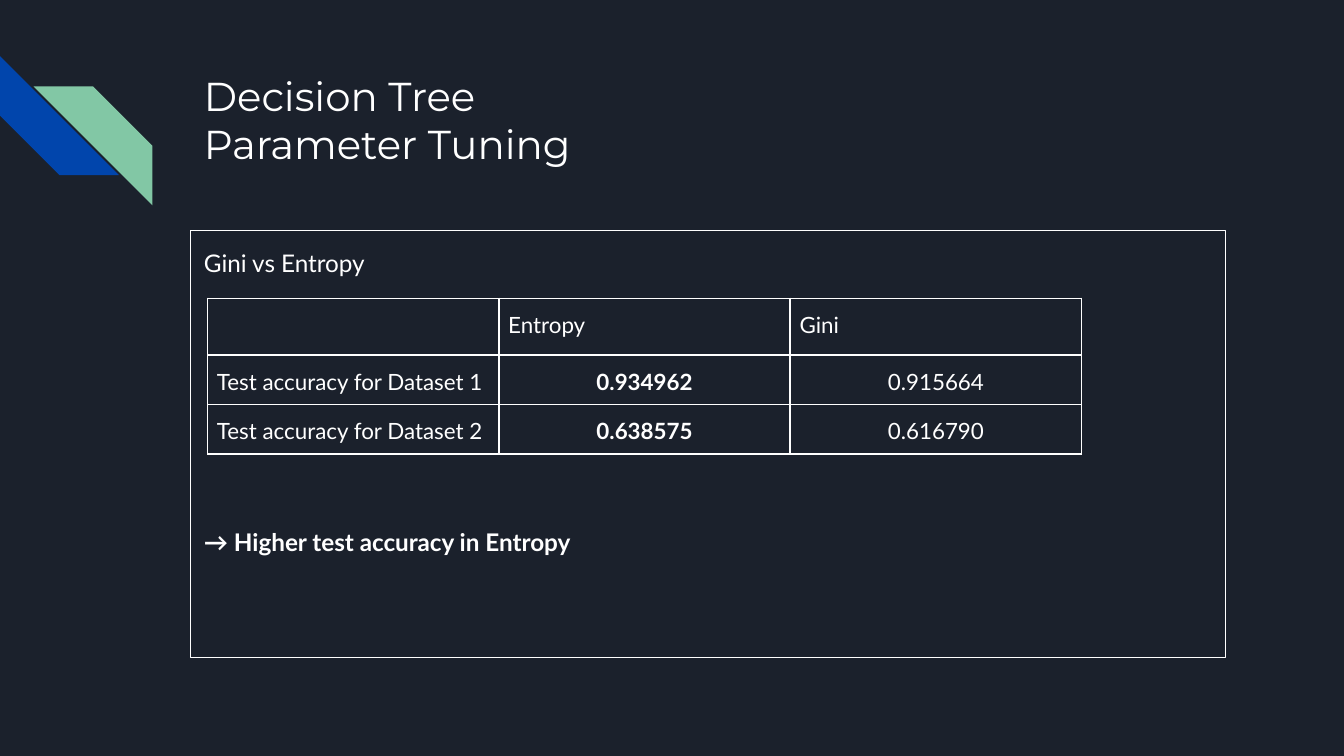
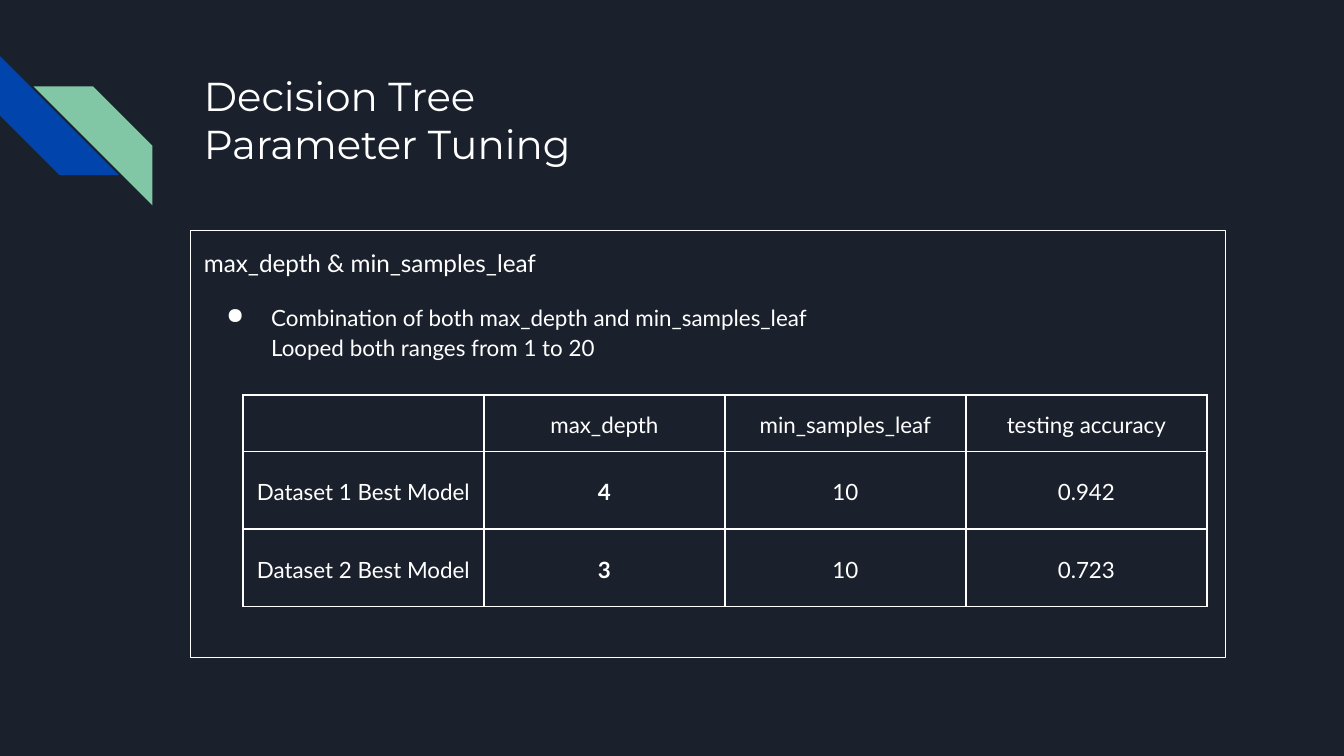
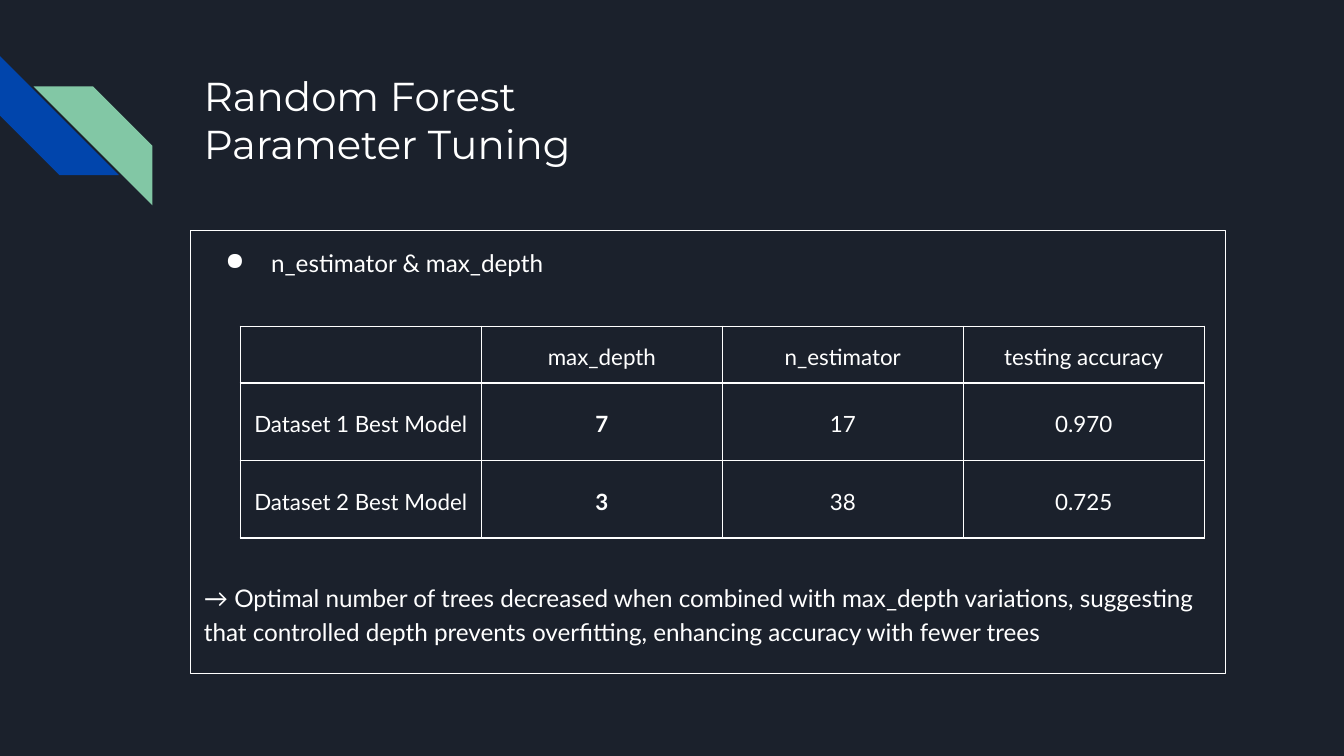
import dataclasses

import lxml.etree
import pptx
import pptx.dml.color
import pptx.enum.shapes
import pptx.enum.text
import pptx.oxml.ns
import pptx.presentation
import pptx.slide
import pptx.table
import pptx.text.text
import pptx.util

Pt = pptx.util.Pt
PP_ALIGN = pptx.enum.text.PP_ALIGN
MSO_ANCHOR = pptx.enum.text.MSO_ANCHOR

COLORS = {"background": "1B212C", "text": "FFFFFF", "blue": "0145AC", "green": "82C7A5"}
HEADING_FONT = "Montserrat"
BODY_FONT = "Lato"
TITLE_SIZE = 21.6
BODY_SIZE = 13
TABLE_SIZE = 12
LINE_SPACING = 1.15
INSET = 7.2
CELL_INSET = 5
CONTENT_LEFT = 102.2
CONTENT_WIDTH = 554.5
BODY_TOP = 123.4
STRIPE_SIZE = 63.7


@dataclasses.dataclass(frozen=True)
class Stripe:
    left: float
    top: float
    rotation: float
    color: str


@dataclasses.dataclass(frozen=True)
class BodyParagraph:
    lines: tuple[str, ...]
    size: float = BODY_SIZE
    space_before: float = 0
    space_after: float = 0
    bold: bool = False
    bullet_hang: float = 0


@dataclasses.dataclass(frozen=True)
class ResultTable:
    left: float
    top: float
    column_width: float
    row_heights: tuple[float, ...]
    rows: tuple[tuple[str, ...], ...]
    centered_labels: bool = True


@dataclasses.dataclass(frozen=True)
class TuningSlide:
    title: tuple[str, ...]
    body_height: float
    body: tuple[BodyParagraph, ...]
    table: ResultTable


STRIPES = (
    Stripe(0, 30.1, 270, "blue"),
    Stripe(18, 46.3, 90, "green"),
)
MODEL_ROW_HEIGHTS = (30.2, 41.6, 41.6)

SLIDES = (
    TuningSlide(
        title=("Decision Tree", "Parameter Tuning"),
        body_height=229,
        body=(
            BodyParagraph(("Gini vs Entropy",)),
            BodyParagraph(("→ Higher test accuracy in Entropy",),
                          space_before=131.8, space_after=12, bold=True),
        ),
        table=ResultTable(
            111.2, 159.9, 156.1, (30.2, 26.6, 26.6),
            (("", "Entropy", "Gini"),
             ("Test accuracy for Dataset 1", "0.934962", "0.915664"),
             ("Test accuracy for Dataset 2", "0.638575", "0.616790")),
            centered_labels=False,
        ),
    ),
    TuningSlide(
        title=("Decision Tree", "Parameter Tuning"),
        body_height=229,
        body=(
            BodyParagraph(("max_depth & min_samples_leaf",)),
            BodyParagraph(("Combination of both max_depth and min_samples_leaf",
                           "Looped both ranges from 1 to 20"),
                          size=12, space_before=12, bullet_hang=24),
        ),
        table=ResultTable(
            130.2, 211.6, 129.1, MODEL_ROW_HEIGHTS,
            (("", "max_depth", "min_samples_leaf", "testing accuracy"),
             ("Dataset 1 Best Model", "4", "10", "0.942"),
             ("Dataset 2 Best Model", "3", "10", "0.723")),
        ),
    ),
    TuningSlide(
        title=("Random Forest", "Parameter Tuning"),
        body_height=237.3,
        body=(
            BodyParagraph(("n_estimator & max_depth",), bullet_hang=24.5),
            BodyParagraph(("→ Optimal number of trees decreased when combined with "
                           "max_depth variations, suggesting that controlled depth "
                           "prevents overfitting, enhancing accuracy with fewer trees",),
                          space_before=161.7, space_after=12),
        ),
        table=ResultTable(
            128.8, 174.9, 129.1, MODEL_ROW_HEIGHTS,
            (("", "max_depth", "n_estimator", "testing accuracy"),
             ("Dataset 1 Best Model", "7", "17", "0.970"),
             ("Dataset 2 Best Model", "3", "38", "0.725")),
        ),
    ),
)


def rgb(name: str) -> pptx.dml.color.RGBColor:
    return pptx.dml.color.RGBColor.from_string(COLORS[name])


def add_run(paragraph: pptx.text.text._Paragraph, text: str, font: str,
            size: float, bold: bool = False) -> None:
    run = paragraph.add_run()
    run.text = text
    run.font.name = font
    run.font.size = Pt(size)
    run.font.bold = bold
    run.font.color.rgb = rgb("text")


def prepare_frame(frame: pptx.text.text.TextFrame) -> None:
    frame.word_wrap = True
    frame.vertical_anchor = MSO_ANCHOR.TOP
    frame.margin_left = frame.margin_right = Pt(INSET)
    frame.margin_top = frame.margin_bottom = Pt(INSET)


def next_paragraph(frame: pptx.text.text.TextFrame, index: int) -> pptx.text.text._Paragraph:
    """Return the frame's first paragraph, or a new one after it."""
    paragraph = frame.add_paragraph() if index else frame.paragraphs[0]
    paragraph.alignment = PP_ALIGN.LEFT
    return paragraph


def add_bullet(paragraph: pptx.text.text._Paragraph, hang: float) -> None:
    properties = paragraph._p.get_or_add_pPr()
    properties.set("marL", str(Pt(36)))
    properties.set("indent", str(-Pt(hang)))
    bullet_color = lxml.etree.SubElement(properties, pptx.oxml.ns.qn("a:buClr"))
    lxml.etree.SubElement(bullet_color, pptx.oxml.ns.qn("a:srgbClr"), val=COLORS["text"])
    lxml.etree.SubElement(properties, pptx.oxml.ns.qn("a:buChar"), char="●")


def add_stripe(slide: pptx.slide.Slide, stripe: Stripe) -> None:
    shape = slide.shapes.add_shape(
        pptx.enum.shapes.MSO_SHAPE.DIAGONAL_STRIPE,
        Pt(stripe.left), Pt(stripe.top), Pt(STRIPE_SIZE), Pt(STRIPE_SIZE))
    shape.shadow.inherit = False
    shape.rotation = stripe.rotation
    shape.fill.solid()
    shape.fill.fore_color.rgb = rgb(stripe.color)
    shape.line.fill.background()


def add_title(slide: pptx.slide.Slide, lines: tuple[str, ...]) -> None:
    frame = slide.shapes.add_textbox(
        Pt(CONTENT_LEFT), Pt(31), Pt(CONTENT_WIDTH), Pt(72)).text_frame
    prepare_frame(frame)
    for index, line in enumerate(lines):
        add_run(next_paragraph(frame, index), line, HEADING_FONT, TITLE_SIZE)


def add_body(slide: pptx.slide.Slide, height: float, body: tuple[BodyParagraph, ...]) -> None:
    shape = slide.shapes.add_shape(
        pptx.enum.shapes.MSO_SHAPE.RECTANGLE,
        Pt(CONTENT_LEFT), Pt(BODY_TOP), Pt(CONTENT_WIDTH), Pt(height))
    shape.shadow.inherit = False
    shape.fill.background()
    shape.line.color.rgb = rgb("text")
    shape.line.width = Pt(0.75)
    prepare_frame(shape.text_frame)
    for index, item in enumerate(body):
        paragraph = next_paragraph(shape.text_frame, index)
        paragraph.line_spacing = LINE_SPACING
        paragraph.space_before = Pt(item.space_before)
        paragraph.space_after = Pt(item.space_after)
        if item.bullet_hang:
            add_bullet(paragraph, item.bullet_hang)
        for line_index, line in enumerate(item.lines):
            if line_index:
                paragraph.add_line_break()
            add_run(paragraph, line, BODY_FONT, item.size, item.bold)


def add_borders(cell: pptx.table._Cell) -> None:
    """Put a thin line on all four sides; borders come before the fill in the XML."""
    properties = cell._tc.get_or_add_tcPr()
    for index, side in enumerate(("lnL", "lnR", "lnT", "lnB")):
        border = lxml.etree.Element(pptx.oxml.ns.qn(f"a:{side}"), w=str(Pt(1)))
        fill = lxml.etree.SubElement(border, pptx.oxml.ns.qn("a:solidFill"))
        lxml.etree.SubElement(fill, pptx.oxml.ns.qn("a:srgbClr"), val=COLORS["text"])
        properties.insert(index, border)


def fill_cell(cell: pptx.table._Cell, text: str, centered: bool,
              anchor: MSO_ANCHOR, bold: bool) -> None:
    cell.vertical_anchor = anchor
    cell.margin_left = cell.margin_right = Pt(CELL_INSET)
    cell.margin_top = cell.margin_bottom = Pt(CELL_INSET)
    paragraph = cell.text_frame.paragraphs[0]
    paragraph.alignment = PP_ALIGN.CENTER if centered else PP_ALIGN.LEFT
    paragraph.line_spacing = LINE_SPACING
    add_run(paragraph, text, BODY_FONT, TABLE_SIZE, bold)


def add_result_table(slide: pptx.slide.Slide, result: ResultTable) -> None:
    column_count = len(result.rows[0])
    table = slide.shapes.add_table(
        len(result.rows), column_count, Pt(result.left), Pt(result.top),
        Pt(result.column_width * column_count), Pt(sum(result.row_heights))).table
    table.first_row = False
    table.horz_banding = False
    for column in table.columns:
        column.width = Pt(result.column_width)
    anchor = MSO_ANCHOR.MIDDLE if result.centered_labels else MSO_ANCHOR.TOP
    for row_index, texts in enumerate(result.rows):
        table.rows[row_index].height = Pt(result.row_heights[row_index])
        for column_index, text in enumerate(texts):
            cell = table.cell(row_index, column_index)
            cell.fill.background()
            add_borders(cell)
            if text:
                is_value = row_index > 0 and column_index > 0
                fill_cell(cell, text, is_value or result.centered_labels, anchor,
                          bold=is_value and column_index == 1)


def add_tuning_slide(presentation: pptx.presentation.Presentation, content: TuningSlide) -> None:
    slide = presentation.slides.add_slide(presentation.slide_layouts[6])
    for stripe in STRIPES:
        add_stripe(slide, stripe)
    add_body(slide, content.body_height, content.body)
    add_title(slide, content.title)
    add_result_table(slide, content.table)


def main() -> None:
    presentation = pptx.Presentation()
    presentation.slide_width = Pt(720)
    presentation.slide_height = Pt(405)
    background = presentation.slide_master.background.fill
    background.solid()
    background.fore_color.rgb = rgb("background")
    for content in SLIDES:
        add_tuning_slide(presentation, content)
    presentation.save("out.pptx")


if __name__ == "__main__":
    main()
